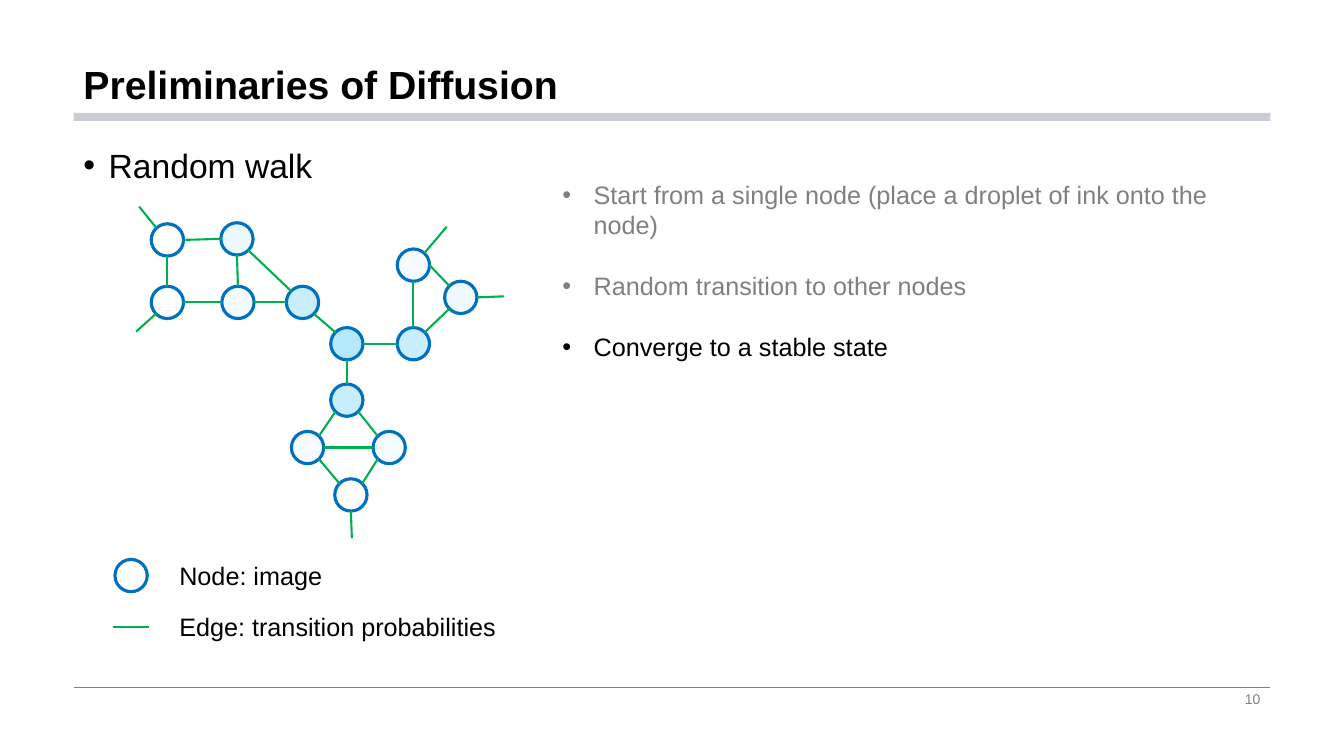
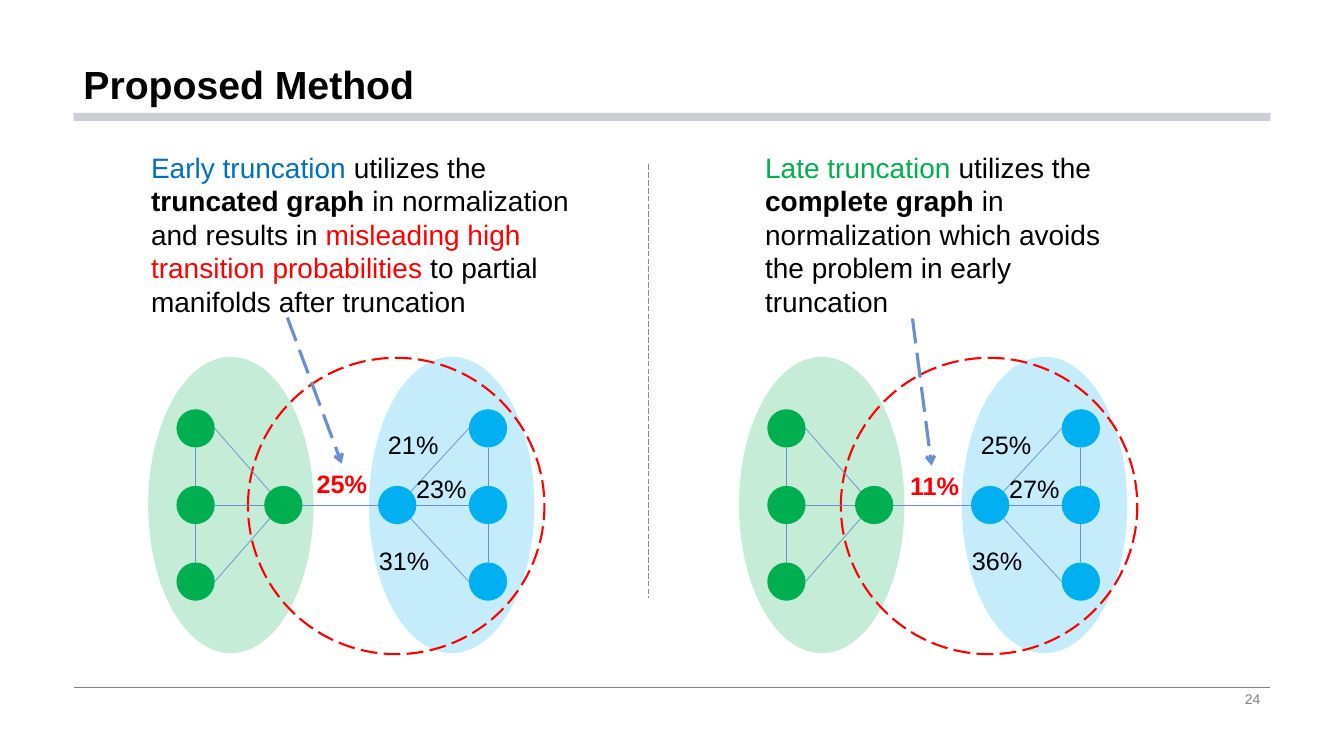
from pptx import Presentation
from pptx.dml.color import RGBColor
from pptx.enum.dml import MSO_LINE
from pptx.enum.shapes import MSO_CONNECTOR, MSO_SHAPE
from pptx.enum.text import MSO_ANCHOR, PP_ALIGN
from pptx.oxml.ns import qn
from pptx.util import Inches, Pt
from lxml import etree

BLACK = RGBColor(0x00, 0x00, 0x00)
GRAY = RGBColor(0x80, 0x80, 0x80)
BAND = RGBColor(0xC9, 0xCE, 0xD5)
BLUE = RGBColor(0x00, 0x70, 0xC0)
SKY = RGBColor(0x00, 0xB0, 0xF0)
GREEN = RGBColor(0x00, 0xB0, 0x50)
RED = RGBColor(0xFF, 0x00, 0x00)
STEEL = RGBColor(0x69, 0x8F, 0xCE)

FONT = "Arial"
LONG_DASH = MSO_LINE.LONG_DASH
STRAIGHT = MSO_CONNECTOR.STRAIGHT
OVAL, RECTANGLE = MSO_SHAPE.OVAL, MSO_SHAPE.RECTANGLE
TOP, MIDDLE, BOTTOM = MSO_ANCHOR.TOP, MSO_ANCHOR.MIDDLE, MSO_ANCHOR.BOTTOM
LEFT, CENTER, RIGHT = PP_ALIGN.LEFT, PP_ALIGN.CENTER, PP_ALIGN.RIGHT

MARGIN, CONTENT_WIDTH = 0.73, 11.87
DIAGONAL = 0.7
SITES = {"N": (0, -1), "S": (0, 1), "W": (-1, 0), "E": (1, 0),
         "NW": (-DIAGONAL, -DIAGONAL), "NE": (DIAGONAL, -DIAGONAL),
         "SW": (-DIAGONAL, DIAGONAL), "SE": (DIAGONAL, DIAGONAL)}


def add_line(page, start, end, color, width, dash=None, arrow=False):
    line = page.shapes.add_connector(STRAIGHT, *map(Inches, (*start, *end)))
    line.line.color.rgb = color
    line.line.width = Pt(width)
    if dash:
        line.line.dash_style = dash
    if arrow:
        etree.SubElement(line.line._get_or_add_ln(), qn("a:tailEnd"), type="arrow")
    etree.SubElement(line._element.spPr, qn("a:effectLst"))


def add_text(page, place, paragraphs, size, anchor=TOP, align=LEFT,
             spacing=None, after=0, indent=None):
    """Each paragraph is a list of (text, colour, bold) spans."""
    box = page.shapes.add_textbox(*map(Inches, place))
    frame = box.text_frame
    frame.word_wrap = True
    frame.vertical_anchor = anchor
    for number, spans in enumerate(paragraphs):
        para = frame.add_paragraph() if number else frame.paragraphs[0]
        para.alignment = align
        para.space_after = Pt(after)
        if spacing:
            para.line_spacing = spacing
        if indent:
            properties = para._p.get_or_add_pPr()
            properties.set("marL", str(Inches(indent)))
            properties.set("indent", str(-Inches(indent)))
            etree.SubElement(properties, qn("a:buFont"), typeface=FONT)
            etree.SubElement(properties, qn("a:buChar"), char="•")
        for text, color, bold in spans:
            span = para.add_run()
            span.text = text
            span.font.name = FONT
            span.font.size = Pt(size)
            span.font.bold = bold
            span.font.color.rgb = color


deck = Presentation()
deck.slide_width, deck.slide_height = Inches(13.33), Inches(7.5)

# Shared frame: title, band, footer rule and page number
pages = []
for title, page_number in (("Preliminaries of Diffusion", "10"), ("Proposed Method", "24")):
    page = deck.slides.add_slide(deck.slide_layouts[6])
    pages.append(page)
    add_line(page, (MARGIN, 6.82), (MARGIN + CONTENT_WIDTH, 6.82), GRAY, 0.5)
    band = page.shapes.add_shape(
        RECTANGLE, *map(Inches, (MARGIN, 1.12, CONTENT_WIDTH, 0.08)))
    band.shadow.inherit = False
    band.fill.solid()
    band.fill.fore_color.rgb = BAND
    band.line.fill.background()
    add_text(page, (MARGIN, 0, CONTENT_WIDTH, 1.12), [[(title, BLACK, True)]], 28,
             anchor=BOTTOM, spacing=0.9)
    add_text(page, (9.42, 6.82, 3.18, 0.23), [[(page_number, GRAY, False)]], 10,
             anchor=MIDDLE, align=RIGHT)
walk_page, method_page = pages

# Random walk graph: centre and ink opacity in percent of each node
WALK_RADIUS = 0.16
walk_nodes = {
    "square top left": (1.66, 2.38, 0), "square top right": (2.35, 2.37, 8),
    "square low left": (1.66, 3.0, 0), "square low right": (2.36, 3.0, 5),
    "bridge": (3.0, 3.0, 21), "source": (3.44, 3.41, 29),
    "triangle low": (4.1, 3.41, 21), "triangle top": (4.1, 2.63, 4),
    "triangle right": (4.57, 2.95, 7), "diamond top": (3.44, 3.97, 21),
    "diamond left": (3.05, 4.44, 4), "diamond right": (3.86, 4.44, 4),
    "diamond low": (3.48, 4.91, 0), "legend": (1.3, 5.71, 0),
}
walk_edges = [
    ("square top left", "E", "square top right", "W"),
    ("square top left", "S", "square low left", "N"),
    ("square top right", "S", "square low right", "N"),
    ("square low left", "E", "square low right", "W"),
    ("square top right", "SE", "bridge", "NW"),
    ("square low right", "E", "bridge", "W"),
    ("bridge", "SE", "source", "NW"),
    ("source", "E", "triangle low", "W"),
    ("triangle low", "N", "triangle top", "S"),
    ("triangle low", "NE", "triangle right", "SW"),
    ("triangle top", "E", "triangle right", "NW"),
    ("source", "S", "diamond top", "N"),
    ("diamond top", "SW", "diamond left", "NE"),
    ("diamond top", "SE", "diamond right", "NW"),
    ("diamond left", "E", "diamond right", "W"),
    ("diamond left", "SE", "diamond low", "NW"),
    ("diamond right", "SW", "diamond low", "NE"),
]
loose_edges = [((1.55, 2.26), (1.38, 2.05)), ((1.55, 3.11), (1.35, 3.29)),
               ((4.21, 2.51), (4.43, 2.25)), ((4.73, 2.95), (5.0, 2.94)),
               ((3.48, 5.07), (3.49, 5.34)), ((1.12, 6.22), (1.48, 6.22))]

# Two manifolds, drawn once for each truncation
METHOD_RADIUS = 0.19
ROWS = {"top": 4.25, "middle": 5.01, "low": 5.77}
method_edges = [("green hub", "E", "blue hub", "W")]
for row, green_site, blue_site in (("top", "NW", "NE"), ("middle", "W", "E"),
                                   ("low", "SW", "SE")):
    method_edges += [("green " + row, "E", "green hub", green_site),
                     ("blue hub", blue_site, "blue " + row, "W")]
for color_name in ("green ", "blue "):
    method_edges += [(color_name + "top", "S", color_name + "middle", "N"),
                     (color_name + "middle", "S", color_name + "low", "N")]

# Ovals: page, centre, radii, fill, opacity in percent, outline, line width, dash
ovals = [(walk_page, x, y, WALK_RADIUS, WALK_RADIUS, SKY, ink, BLUE, 2.25, None)
         for x, y, ink in walk_nodes.values()]
graphs = [(walk_page, walk_nodes, walk_edges, WALK_RADIUS, GREEN, 1.5)]
for green_shift, blue_shift in ((0, 0), (5.86, 5.88)):
    method_nodes = {"green hub": (2.81 + green_shift, ROWS["middle"], GREEN),
                    "blue hub": (3.94 + blue_shift, ROWS["middle"], SKY)}
    for row, y in ROWS.items():
        method_nodes["green " + row] = (1.94 + green_shift, y, GREEN)
        method_nodes["blue " + row] = (4.84 + blue_shift, y, SKY)
    for x, color in ((2.29 + green_shift, GREEN), (4.48 + blue_shift, SKY)):
        ovals.append((method_page, x, 5.01, 0.82, 1.47, color, 23, None, 0, None))
    for x, y, color in method_nodes.values():
        ovals.append((method_page, x, y, METHOD_RADIUS, METHOD_RADIUS, color, 100,
                      None, 0, None))
    ovals.append((method_page, 3.93 + blue_shift, 5.02, 1.47, 1.47, None, 0,
                  RED, 1.5, LONG_DASH))
    graphs.append((method_page, method_nodes, method_edges, METHOD_RADIUS, STEEL, 0.5))

for page, x, y, radius_x, radius_y, fill, opacity, outline, width, dash in ovals:
    oval = page.shapes.add_shape(OVAL, *map(Inches, (
        x - radius_x, y - radius_y, 2 * radius_x, 2 * radius_y)))
    oval.shadow.inherit = False
    if opacity:
        oval.fill.solid()
        oval.fill.fore_color.rgb = fill
        color_element = oval._element.spPr.find(qn("a:solidFill"))[0]
        etree.SubElement(color_element, qn("a:alpha"), val=str(opacity * 1000))
    else:
        oval.fill.background()
    if outline:
        oval.line.color.rgb = outline
        oval.line.width = Pt(width)
        oval.line.dash_style = dash
    else:
        oval.line.fill.background()

# Edges run between compass points of the nodes
for page, nodes, edges, radius, color, width in graphs:
    for first, first_site, second, second_site in edges:
        start, end = [
            (nodes[name][0] + radius * SITES[site][0],
             nodes[name][1] + radius * SITES[site][1])
            for name, site in ((first, first_site), (second, second_site))]
        add_line(page, start, end, color, width)
for start, end in loose_edges:
    add_line(walk_page, start, end, GREEN, 1.5)

# Random walk texts
add_text(walk_page, (MARGIN, 1.43, CONTENT_WIDTH, 0.5),
         [[("Random walk", BLACK, False)]], 24, spacing=0.9, indent=0.25)
add_text(walk_page, (5.48, 1.73, 7.12, 2.53), [
    [("Start from a single node (place a droplet of ink onto the node)", GRAY, False)],
    [("Random transition to other nodes", GRAY, False)],
    [("Converge to a stable state", BLACK, False)],
], 18, after=22, indent=0.31)
for top, legend in ((5.51, "Node: image"), (6.02, "Edge: transition probabilities")):
    add_text(walk_page, (1.68, top, 4.72, 0.4), [[(legend, BLACK, False)]], 18)

# Truncation texts
add_text(method_page, (1.4, 1.44, 4.54, 2.12), [[
    ("Early truncation", BLUE, False), (" utilizes the ", BLACK, False),
    ("truncated graph ", BLACK, True),
    ("in normalization and results in ", BLACK, False),
    ("misleading high transition probabilities", RED, False),
    (" to partial manifolds after truncation", BLACK, False)]], 20)
add_text(method_page, (7.49, 1.44, 3.88, 1.78), [[
    ("Late truncation", GREEN, False), (" utilizes the ", BLACK, False),
    ("complete graph ", BLACK, True),
    ("in normalization which avoids the problem in early truncation", BLACK, False),
]], 20)

# Transition probabilities
for shift, bridge_top, bridge, upper, middle, lower in (
        (0, 4.6, "25%", "21%", "23%", "31%"),
        (5.88, 4.62, "11%", "25%", "27%", "36%")):
    add_text(method_page, (2.99 + shift, bridge_top, 0.8, 0.4), [[(bridge, RED, True)]],
             18, align=CENTER)
    for left, top, label in ((3.75, 4.21, upper), (4.03, 4.65, middle),
                             (3.66, 5.36, lower)):
        add_text(method_page, (left + shift, top, 0.84, 0.4),
                 [[(label, BLACK, False)]], 18)

# Pointers and divider
for start, end in (((2.85, 3.15), (3.39, 4.6)), ((9.05, 3.16), (9.24, 4.62))):
    add_line(method_page, start, end, STEEL, 2.25, LONG_DASH, arrow=True)
add_line(method_page, (6.43, 1.63), (6.43, 5.93), STEEL, 0.5, LONG_DASH)

deck.save("out.pptx")
